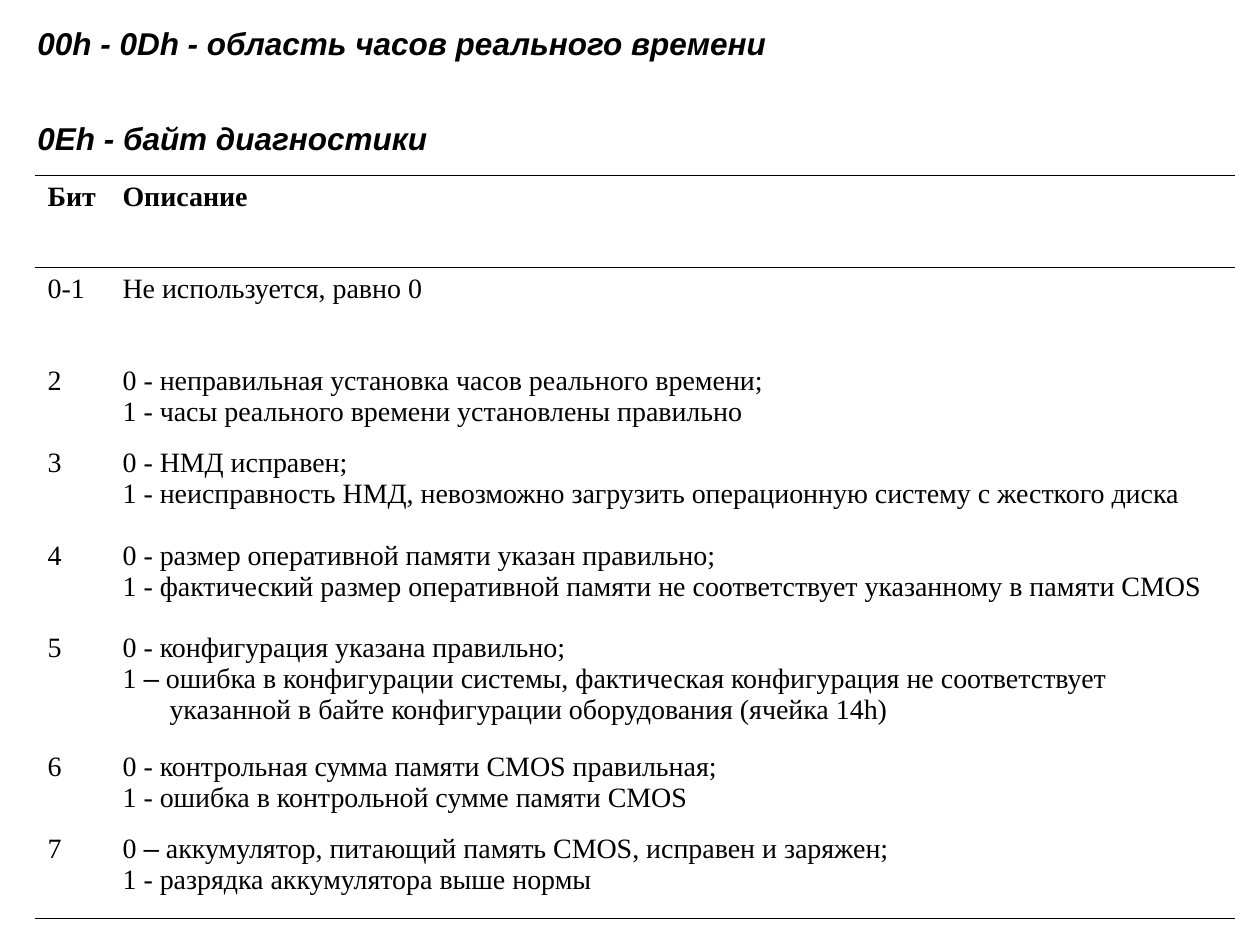
from lxml.etree import SubElement
from pptx import Presentation
from pptx.dml.color import RGBColor
from pptx.oxml.ns import qn
from pptx.util import Emu, Pt

HEADINGS = ["00h - 0Dh - область часов реального времени", "0Eh - байт диагностики"]
BITS = [
    ("Бит", ["Описание"], 92),
    ("0-1", ["Не используется, равно 0"], 92),
    ("2", ["0 - неправильная установка часов реального времени;",
           "1 - часы реального времени установлены правильно"], 82),
    ("3", ["0 - НМД исправен;",
           "1 - неисправность НМД, невозможно загрузить операционную систему с жесткого диска"], 93),
    ("4", ["0 - размер оперативной памяти указан правильно;",
           "1 - фактический размер оперативной памяти не соответствует указанному в памяти CMOS"], 92),
    ("5", ["0 - конфигурация указана правильно;",
           "1 – ошибка в конфигурации системы, фактическая конфигурация не соответствует "
           "указанной в байте конфигурации оборудования (ячейка 14h)"], 119),
    ("6", ["0 - контрольная сумма памяти CMOS правильная;",
           "1 - ошибка в контрольной сумме памяти CMOS"], 82),
    ("7", ["0 – аккумулятор, питающий память CMOS, исправен и заряжен;",
           "1 - разрядка аккумулятора выше нормы"], 92),
]
COLUMNS = (75, 1125)
HANGING = 47
HEADING_FONT = {"name": "Arial", "size": Pt(18), "bold": True, "italic": True}
CELL_FONT = {"name": "Times New Roman", "size": Pt(16)}
BLACK = "000000"


def px(length):
    return Emu(length * 914400 // 126)


def color(value):
    return RGBColor.from_string(value)


def assign(target, values):
    for name, value in values.items():
        setattr(target, name, value)


def write(frame, lines, font, gap=0):
    for index, line in enumerate(lines):
        paragraph = frame.add_paragraph() if index else frame.paragraphs[0]
        if index:
            paragraph.space_before = Pt(gap)
        properties = paragraph._p.get_or_add_pPr()
        properties.set("marL", str(px(HANGING)))
        properties.set("indent", str(-px(HANGING)))
        for part in filter(None, line.partition("–")):
            run = paragraph.add_run()
            run.text = part
            assign(run.font, font)
            run.font.color.rgb = color(BLACK)
            if part == "–":
                run.font.name = "Arial"


def rule(cell, ruled_sides):
    properties = cell._tc.get_or_add_tcPr()
    for side in "LRTB":
        border = SubElement(properties, qn(f"a:ln{side}"))
        if side in ruled_sides:
            border.set("w", str(Pt(0.45)))
            fill = SubElement(border, qn("a:solidFill"))
            SubElement(fill, qn("a:srgbClr")).set("val", BLACK)
        else:
            SubElement(border, qn("a:noFill"))


def main():
    """Build the slide describing the CMOS diagnostics byte."""
    deck = Presentation()
    assign(deck, {"slide_width": px(1260), "slide_height": px(945)})
    slide = deck.slides.add_slide(deck.slide_layouts[6])

    headings = slide.shapes.add_textbox(px(25), px(18), px(1200), px(169)).text_frame
    headings.word_wrap = True
    write(headings, HEADINGS, HEADING_FONT, gap=32.5)

    heights = [height for _, _, height in BITS]
    table = slide.shapes.add_table(len(BITS), len(COLUMNS), px(35), px(175),
                                   px(sum(COLUMNS)), px(sum(heights))).table
    assign(table, {"first_row": False, "horz_banding": False})
    for column, width in zip(table.columns, COLUMNS):
        column.width = px(width)
    for index, (bit, meanings, height) in enumerate(BITS):
        table.rows[index].height = px(height)
        ruled_sides = {0: "TB", 1: "T", len(BITS) - 1: "B"}.get(index, "")
        for cell, lines in zip(table.rows[index].cells, ([bit], meanings)):
            write(cell.text_frame, lines, CELL_FONT | {"bold": index == 0})
            rule(cell, ruled_sides)
            cell.fill.background()

    deck.save("out.pptx")


if __name__ == "__main__":
    main()
